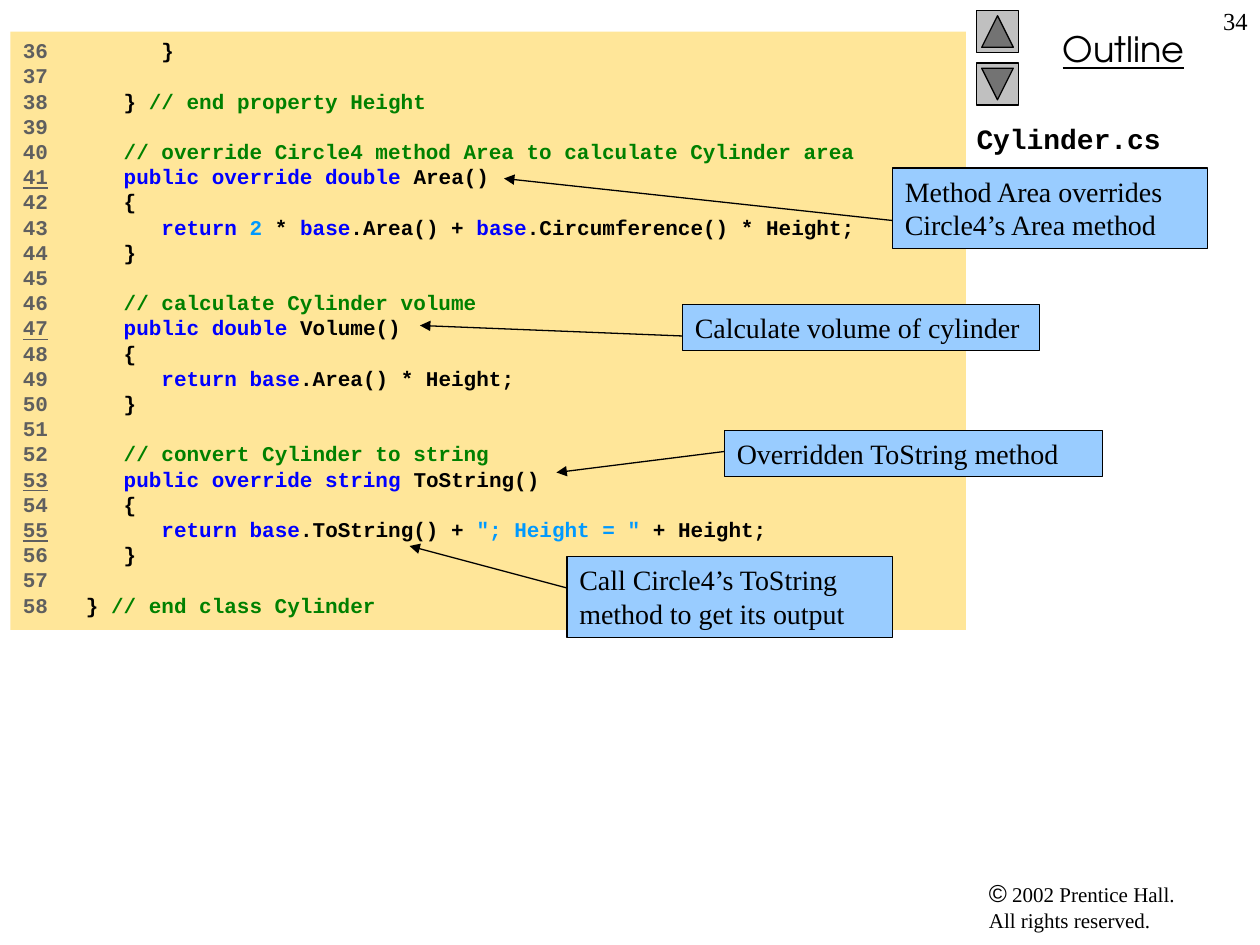
"""Build the Cylinder.cs code outline slide."""
from dataclasses import dataclass
from typing import NamedTuple

from lxml.etree import SubElement
from pptx import Presentation
from pptx.dml.color import RGBColor
from pptx.enum.shapes import MSO_CONNECTOR, MSO_SHAPE
from pptx.enum.text import MSO_ANCHOR, PP_ALIGN
from pptx.oxml.ns import qn
from pptx.util import Emu, Pt


@dataclass(frozen=True)
class Theme:
    black: str = "000000"
    number: str = "5F5F5F"
    keyword: str = "0000FF"
    comment: str = "008000"
    literal: str = "0099FF"
    listing: str = "FFE699"
    callout: str = "99CCFF"
    button: str = "C0C0C0"
    code_font: str = "Courier New"
    body_font: str = "Times New Roman"
    symbol_font: str = "Arial"
    heading_font: str = "TeX Gyre Adventor"
    small: int = 12
    page: int = 14
    body: int = 16
    heading: int = 20
    code_pitch: float = 14.4
    outline: float = 0.75


class Box(NamedTuple):
    left: int
    top: int
    width: int
    height: int


class Token(NamedTuple):
    text: str
    color: str


class CodeLine(NamedTuple):
    indent: int = 0
    tokens: tuple = ()


class Callout(NamedTuple):
    text: str
    box: Box
    start_y: int
    target: tuple


THEME = Theme()
EMU_PER_PX = 7620
FIRST_NUMBER = 36
UNDERLINED = {41, 47, 53, 55}


def plain(text: str) -> Token:
    return Token(text, THEME.black)


def keyword(text: str) -> Token:
    return Token(text, THEME.keyword)


def comment(text: str) -> Token:
    return Token(text, THEME.comment)


def literal(text: str) -> Token:
    return Token(text, THEME.literal)


def code(indent: int, *tokens: Token) -> CodeLine:
    return CodeLine(indent, tokens)


BLANK = CodeLine()
OPEN = code(6, plain("{"))
CLOSE = code(6, plain("}"))
LISTING = [
    code(9, plain("}")),
    BLANK,
    code(6, plain("} "), comment("// end property Height")),
    BLANK,
    code(6, comment("// override Circle4 method Area to calculate Cylinder area")),
    code(6, keyword("public override double "), plain("Area()")),
    OPEN,
    code(9, keyword("return "), literal("2"), plain(" * "), keyword("base"),
         plain(".Area() + "), keyword("base"), plain(".Circumference() * Height;")),
    CLOSE,
    BLANK,
    code(6, comment("// calculate Cylinder volume")),
    code(6, keyword("public double"), plain(" Volume()")),
    OPEN,
    code(9, keyword("return base"), plain(".Area() * Height;")),
    CLOSE,
    BLANK,
    code(6, comment("// convert Cylinder to string")),
    code(6, keyword("public override string"), plain(" ToString()")),
    OPEN,
    code(9, keyword("return base"), plain(".ToString() + "),
         literal('"; Height = "'), plain(" + Height;")),
    CLOSE,
    BLANK,
    code(3, plain("} "), comment("// end class Cylinder")),
]
CALLOUTS = [
    Callout("Method Area overrides Circle4’s Area method", Box(850, 160, 300, 77), 210, (480, 170)),
    Callout("Overridden ToString method", Box(690, 410, 360, 44), 430, (530, 450)),
    Callout("Call Circle4’s ToString method to get its output", Box(540, 530, 310, 77), 560, (390, 520)),
    Callout("Calculate volume of cylinder", Box(650, 290, 340, 44), 320, (400, 310)),
]
BUTTONS = [(Box(930, 10, 40, 40), 90), (Box(930, 60, 40, 40), 270)]


def px(*lengths: int) -> list[Emu]:
    return [Emu(length * EMU_PER_PX) for length in lengths]


def add_run(paragraph, text: str, color: str = THEME.black, **formats) -> None:
    run = paragraph.add_run()
    run.text = text
    for name, value in formats.items():
        setattr(run.font, name, value)
    run.font.color.rgb = RGBColor.from_string(color)


def prepare_frame(shape, align: PP_ALIGN = PP_ALIGN.LEFT):
    frame = shape.text_frame
    for name, value in {"word_wrap": True, "vertical_anchor": MSO_ANCHOR.TOP}.items():
        setattr(frame, name, value)
    frame.paragraphs[0].alignment = align
    return frame


def add_text(slide, box: Box, align: PP_ALIGN = PP_ALIGN.LEFT):
    return prepare_frame(slide.shapes.add_textbox(*px(*box)), align).paragraphs[0]


def add_filled(slide, kind: MSO_SHAPE, box: Box, fill: str, outlined: bool = True):
    shape = slide.shapes.add_shape(kind, *px(*box))
    shape.shadow.inherit = False
    shape.fill.solid()
    shape.fill.fore_color.rgb = RGBColor.from_string(fill)
    if outlined:
        shape.line.color.rgb = RGBColor.from_string(THEME.black)
        shape.line.width = Pt(THEME.outline)
    else:
        shape.line.fill.background()
    return shape


def add_listing(slide) -> None:
    panel = add_filled(slide, MSO_SHAPE.RECTANGLE, Box(10, 30, 910, 570), THEME.listing, False)
    frame = prepare_frame(panel)
    formats = {"name": THEME.code_font, "size": Pt(THEME.small), "bold": True}
    for number, line in enumerate(LISTING, FIRST_NUMBER):
        row = frame.paragraphs[0] if number == FIRST_NUMBER else frame.add_paragraph()
        row.alignment = PP_ALIGN.LEFT
        row.line_spacing = Pt(THEME.code_pitch)
        add_run(row, str(number), THEME.number, underline=number in UNDERLINED, **formats)
        if line.indent:
            add_run(row, " " * line.indent, THEME.number, **formats)
        for token in line.tokens:
            add_run(row, token.text, token.color, **formats)


def add_callout(slide, callout: Callout) -> None:
    label = add_filled(slide, MSO_SHAPE.RECTANGLE, callout.box, THEME.callout)
    add_run(prepare_frame(label).paragraphs[0], callout.text,
            name=THEME.body_font, size=Pt(THEME.body))
    arrow = slide.shapes.add_connector(
        MSO_CONNECTOR.STRAIGHT, *px(callout.box.left, callout.start_y, *callout.target))
    arrow.line.color.rgb = RGBColor.from_string(THEME.black)
    arrow.line.width = Pt(THEME.outline)
    SubElement(arrow.line._get_or_add_ln(), qn("a:tailEnd"), type="triangle")
    SubElement(arrow._element.spPr, qn("a:effectLst"))


def add_title(slide) -> None:
    title = slide.shapes.title
    for name, value in zip(("left", "top", "width", "height"), px(930, 110, 270, 720)):
        setattr(title, name, value)
    frame = prepare_frame(title)
    frame.margin_left = 0
    add_run(frame.paragraphs[0], "Cylinder.cs",
            name=THEME.code_font, size=Pt(THEME.body), bold=True)


def main() -> None:
    deck = Presentation()
    deck.slide_width, deck.slide_height = px(1200, 900)
    slide = deck.slides.add_slide(deck.slide_layouts[5])

    rights = add_text(slide, Box(930, 830, 260, 65))
    add_run(rights, "©", name=THEME.symbol_font, size=Pt(THEME.page))
    for index, text in enumerate((" 2002 Prentice Hall.", "All rights reserved.")):
        if index:
            rights.add_line_break()
        add_run(rights, text, name=THEME.body_font, size=Pt(THEME.small))
    add_run(add_text(slide, Box(940, 20, 260, 53), PP_ALIGN.CENTER), "Outline",
            name=THEME.heading_font, size=Pt(THEME.heading), underline=True)
    for box, rotation in BUTTONS:
        button = add_filled(slide, MSO_SHAPE.ACTION_BUTTON_BACK_OR_PREVIOUS, box, THEME.button)
        button.rotation = rotation
    add_title(slide)
    add_listing(slide)
    for callout in CALLOUTS:
        add_callout(slide, callout)
    add_run(add_text(slide, Box(1140, 0, 60, 60), PP_ALIGN.RIGHT), "34",
            name=THEME.body_font, size=Pt(THEME.page))
    deck.save("out.pptx")


if __name__ == "__main__":
    main()
